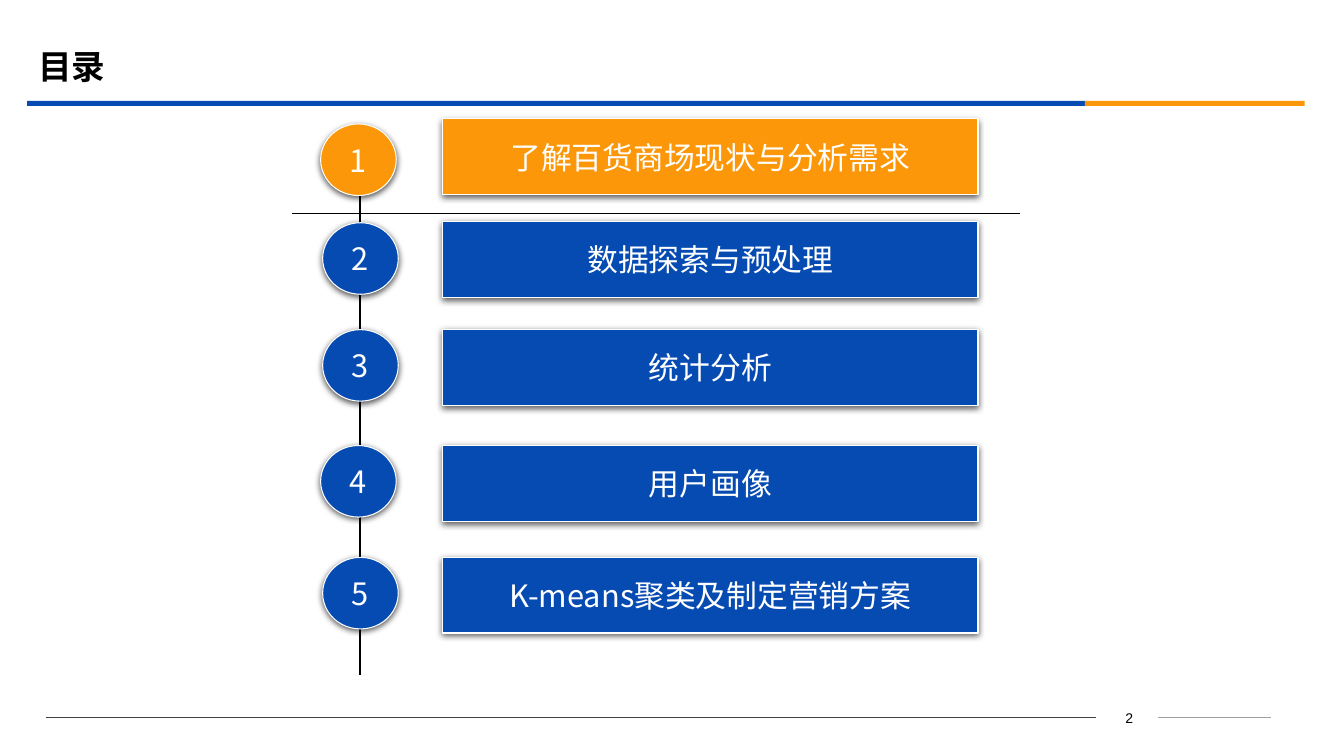
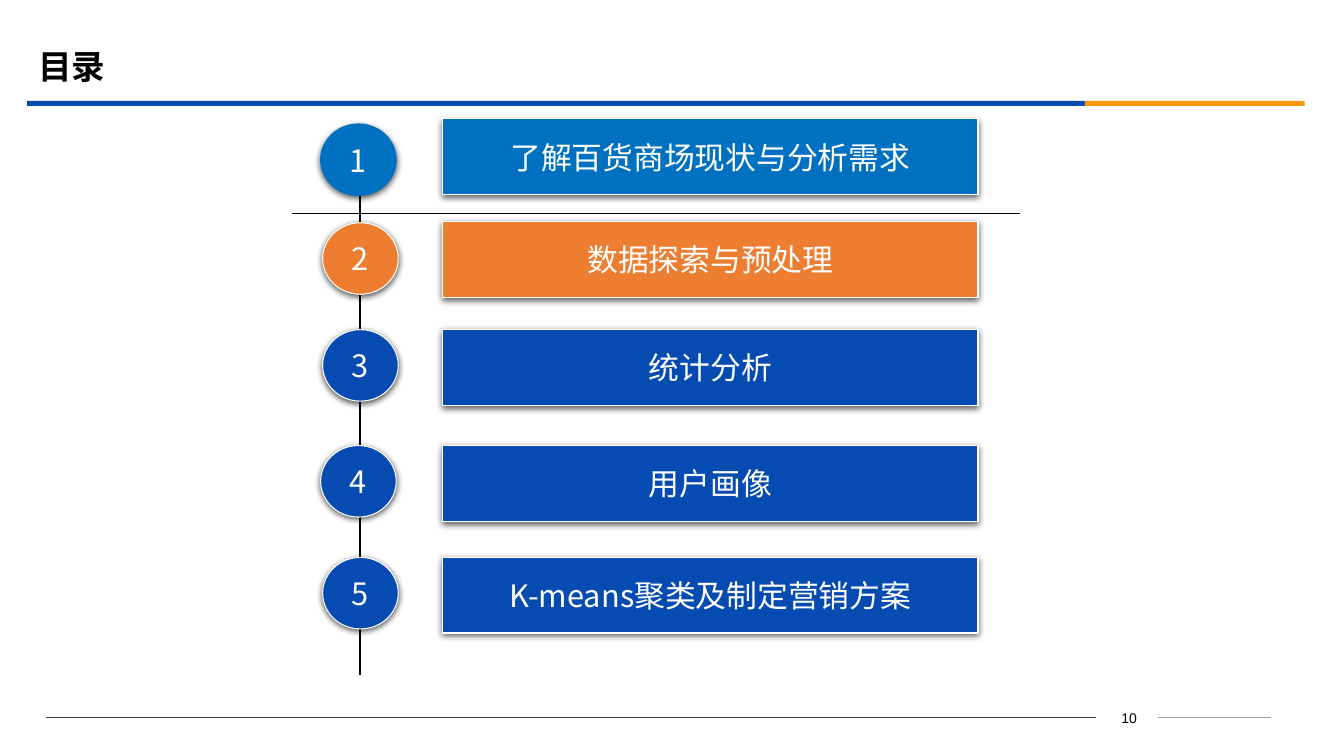
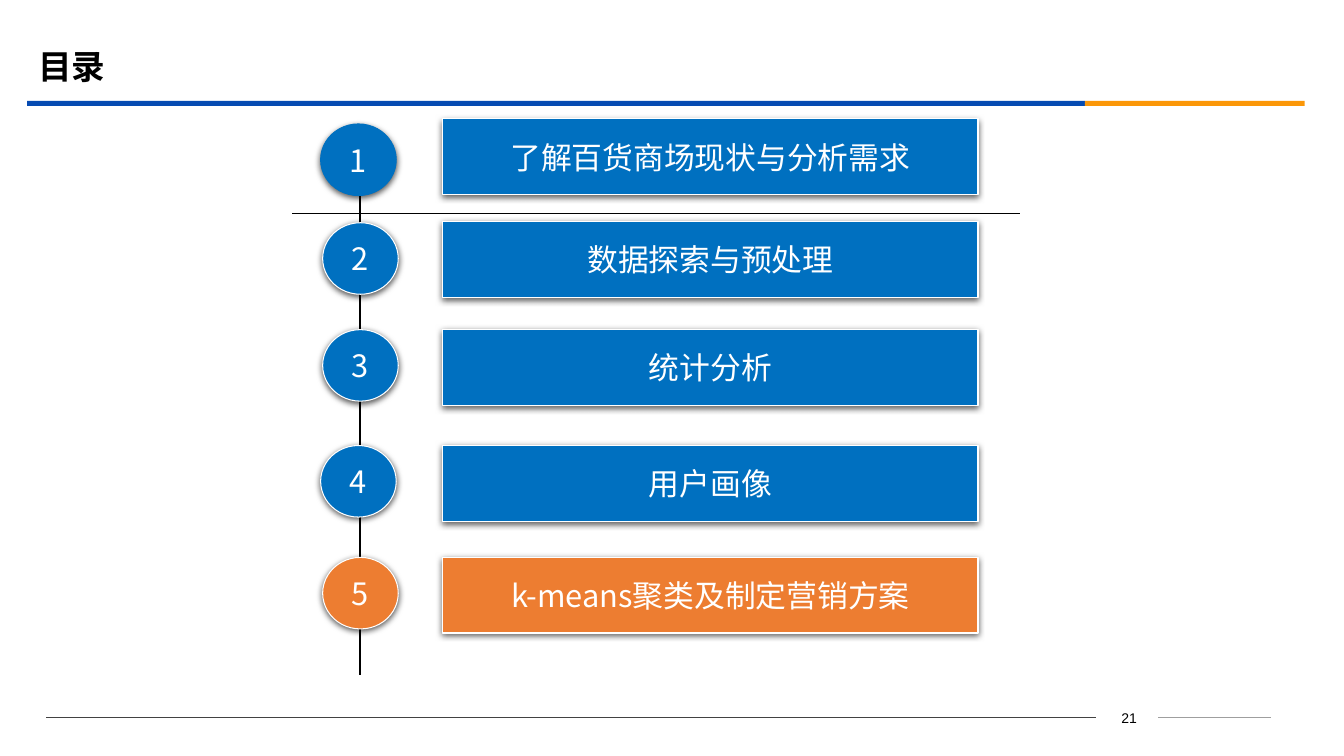
"""Builds three agenda slides, each marking the current chapter."""
from lxml import etree
from pptx import Presentation
from pptx import util as u
from pptx.dml.color import RGBColor
from pptx.enum import shapes, text
from pptx.oxml import parse_xml
from pptx.oxml.ns import nsdecls, qn

PX = 9144
FONT = "Noto Sans CJK SC"
BLUE, AZURE, AMBER, ORANGE = "064BB2", "0070C0", "FB9708", "ED7D31"
BLACK, WHITE, DARK, GREY = "000000", "FFFFFF", "424242", "9F9F9F"

TITLE = "目录"
CHAPTERS = ["了解百货商场现状与分析需求", "数据探索与预处理", "统计分析", "用户画像"]
SLIDES = [
    {"page": 2, "last": "K-means聚类及制定营销方案", "fills": [AMBER] + [BLUE] * 4},
    {"page": 10, "last": "K-means聚类及制定营销方案", "fills": [AZURE, ORANGE] + [BLUE] * 3},
    {"page": 21, "last": "k-means聚类及制定营销方案", "fills": [AZURE] * 4 + [ORANGE]},
]
BAR_TOPS = [118, 220, 327, 442, 553]
CIRCLE_SPOTS = [(318, 123), (320, 221), (320, 327), (318, 442), (320, 553)]
BANDS = [((27, 100, 1049, 5), BLUE), ((1076, 100, 218, 5), AMBER)]
FOOTER_LINES = [((1149, 712, 1261, 712), GREY, 0.75), ((46, 712, 1087, 712), DARK, 0.5)]
AGENDA_LINES = [((357, 147, 357, 670), BLACK, 1), ((290, 212, 1012, 212), BLACK, 1)]

SHADOW = (
    f'<a:effectLst {nsdecls("a")}><a:outerShdw blurRad="57150" dist="19050" dir="5400000" '
    'algn="ctr" rotWithShape="0"><a:srgbClr val="000000"><a:alpha val="63000"/></a:srgbClr>'
    '</a:outerShdw></a:effectLst>'
)


def px(values):
    return [v * PX for v in values]


def rgb(value):
    return RGBColor.from_string(value)


def write(tf, content, size=22, font=FONT, color=WHITE, bold=False,
          align=text.PP_ALIGN.CENTER, anchor=text.MSO_ANCHOR.MIDDLE, wrap=False, spacing=None):
    tf.word_wrap = wrap
    tf.vertical_anchor = anchor
    p = tf.paragraphs[0]
    p.alignment = align
    p.line_spacing = spacing
    r = p.add_run()
    r.text = content
    r.font.size = u.Pt(size)
    r.font.name = font
    r.font.bold = bold
    r.font.color.rgb = rgb(color)
    etree.SubElement(r.font._element, qn("a:ea"), typeface=font)


def add_box(s, kind, at, fill, line=None, shadow=False):
    sp = s.shapes.add_shape(kind, *px(at))
    sp.fill.solid()
    sp.fill.fore_color.rgb = rgb(fill)
    if line:
        sp.line.color.rgb = rgb(line)
        sp.line.width = u.Pt(0.75)
    else:
        sp.line.fill.background()
    if shadow:
        sp.element.spPr.append(parse_xml(SHADOW))
    else:
        sp.shadow.inherit = False
    return sp


def add_line(s, ends, color, width):
    c = s.shapes.add_connector(shapes.MSO_CONNECTOR.STRAIGHT, *px(ends))
    c.line.color.rgb = rgb(color)
    c.line.width = u.Pt(width)
    etree.SubElement(c.element.spPr, qn("a:effectLst"))


def add_frame(s, page):
    title = s.shapes.title
    title.left, title.top, title.width, title.height = px((28, 39, 1200, 58))
    write(title.text_frame, TITLE, size=24, color=BLACK, bold=True,
          align=text.PP_ALIGN.LEFT, wrap=True, spacing=0.9)
    for at, fill in BANDS:
        add_box(s, shapes.MSO_SHAPE.RECTANGLE, at, fill)
    for line in FOOTER_LINES:
        add_line(s, *line)
    number = s.shapes.add_textbox(*px((1087, 699, 62, 25)))
    write(number.text_frame, f" {page}", size=10, font="Arial", color=BLACK,
          anchor=text.MSO_ANCHOR.TOP, wrap=True)


def add_agenda(s, chapters, fills):
    for line in AGENDA_LINES:
        add_line(s, *line)
    rows = zip(chapters, fills, BAR_TOPS, CIRCLE_SPOTS)
    for i, (chapter, fill, top, spot) in enumerate(rows, 1):
        bar = add_box(s, shapes.MSO_SHAPE.ACTION_BUTTON_CUSTOM, (439, top, 531, 75),
                      fill, WHITE, shadow=True)
        write(bar.text_frame, chapter)
        outline = AZURE if i == 1 and fill == AZURE else WHITE
        circle = add_box(s, shapes.MSO_SHAPE.OVAL, (*spot, 75, 71), fill, outline, shadow=True)
        write(circle.text_frame, str(i))


def main():
    prs = Presentation()
    prs.slide_width, prs.slide_height = px((1333, 750))
    for slide in SLIDES:
        s = prs.slides.add_slide(prs.slide_layouts[5])
        add_frame(s, slide["page"])
        add_agenda(s, CHAPTERS + [slide["last"]], slide["fills"])
    prs.save("out.pptx")


if __name__ == "__main__":
    main()
